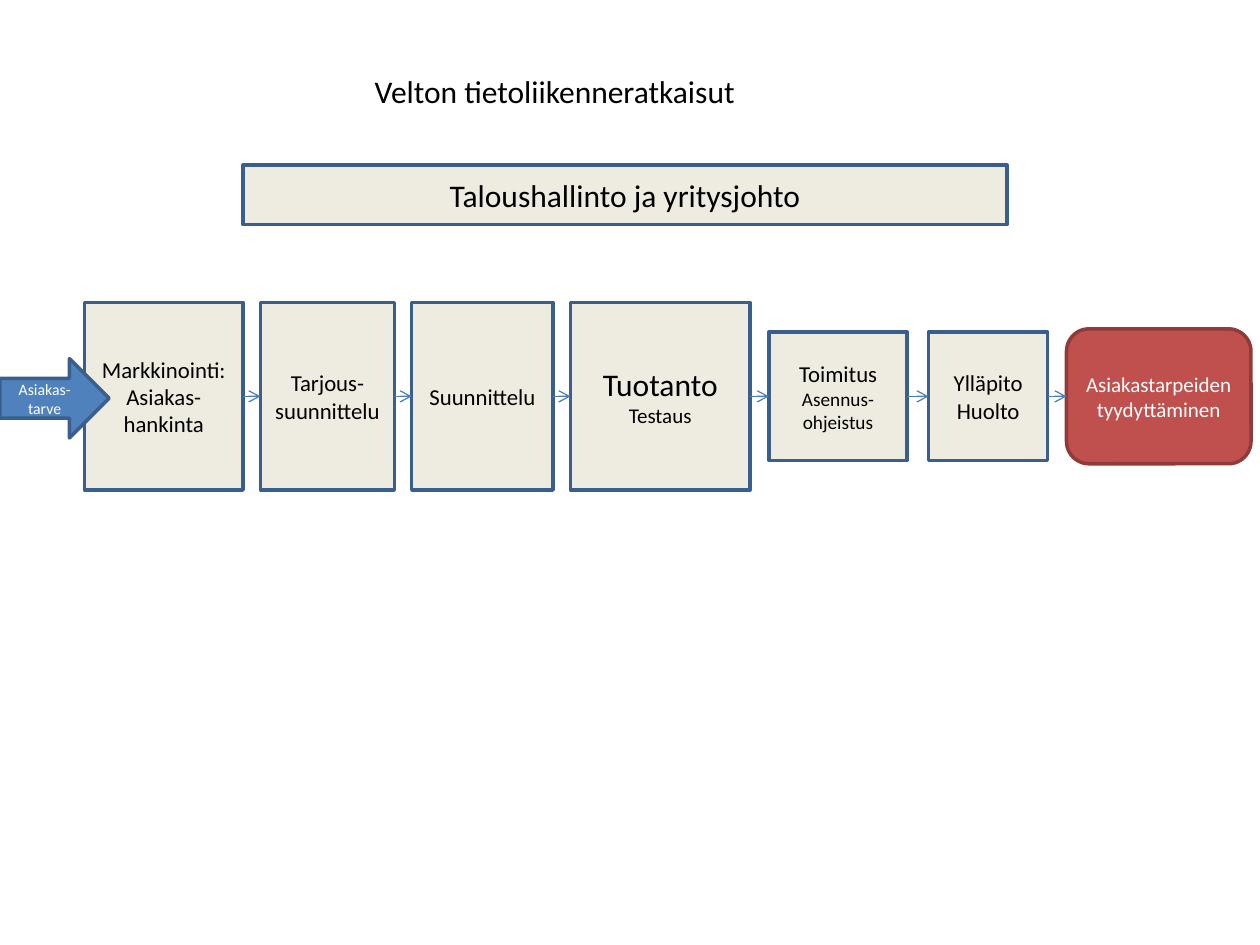
from dataclasses import dataclass
from itertools import pairwise

from lxml.etree import SubElement
from pptx import Presentation
from pptx.dml.color import RGBColor
from pptx.enum.shapes import MSO_CONNECTOR, MSO_SHAPE
from pptx.enum.text import MSO_ANCHOR, MSO_AUTO_SIZE, PP_ALIGN
from pptx.oxml.ns import qn
from pptx.shapes.autoshape import Shape
from pptx.shapes.connector import Connector
from pptx.slide import Slide
from pptx.util import Cm, Pt

FONT = "Calibri"
BLACK, WHITE = "000000", "FFFFFF"
BEIGE, BLUE, RED = "EEECE1", "4F81BD", "C0504D"
DARK_BLUE, DARK_RED, ARROW_BLUE = "3A5F8C", "8E3B39", "4B7EBC"
FLOW_MIDDLE = 7.99
TALL, SHORT = 3.78, 2.59


@dataclass
class Box:
    """A filled shape; lengths in centimetres, lines as (text, point size)."""
    left: float
    width: float
    height: float
    lines: list[tuple[str, float]]
    middle: float = FLOW_MIDDLE
    kind: MSO_SHAPE = MSO_SHAPE.RECTANGLE
    fill: str = BEIGE
    outline: str = DARK_BLUE
    text_color: str = BLACK


MANAGEMENT = Box(4.9, 15.4, 1.2, [("Taloushallinto ja yritysjohto", 18)], middle=3.93)
CUSTOMER_NEED = Box(0, 2.2, 1.6, [("Asiakas-tarve", 9)], middle=8.03,
                    kind=MSO_SHAPE.RIGHT_ARROW, fill=BLUE, text_color=WHITE)
PROCESS = [
    Box(1.7, 3.2, TALL, [("Markkinointi:", 13), ("Asiakas-hankinta", 13)]),
    Box(5.25, 2.7, TALL, [("Tarjous-suunnittelu", 13)]),
    Box(8.3, 2.85, TALL, [("Suunnittelu", 13)]),
    Box(11.5, 3.62, TALL, [("Tuotanto", 18), ("Testaus", 12)]),
    Box(15.5, 2.79, SHORT, [("Toimitus", 13), ("Asennus-ohjeistus", 11)]),
    Box(18.72, 2.4, SHORT, [("Ylläpito", 13), ("Huolto", 13)]),
    Box(21.5, 3.72, 2.72, [("Asiakastarpeiden", 12), ("tyydyttäminen", 12)],
        kind=MSO_SHAPE.ROUNDED_RECTANGLE, fill=RED, outline=DARK_RED, text_color=WHITE),
]


def color(value: str) -> RGBColor:
    return RGBColor.from_string(value)


def format_paragraph(paragraph, size: float, text_color: str, alignment: PP_ALIGN) -> None:
    paragraph.alignment = alignment
    paragraph.font.name = FONT
    paragraph.font.size = Pt(size)
    paragraph.font.color.rgb = color(text_color)


def add_title(slide: Slide, text: str) -> None:
    title = slide.shapes.title
    title.left, title.top, title.width, title.height = Cm(7.3), Cm(1.32), Cm(10.8), Cm(1.03)
    frame = title.text_frame
    frame.text = text
    frame.vertical_anchor = MSO_ANCHOR.TOP
    frame.auto_size = MSO_AUTO_SIZE.SHAPE_TO_FIT_TEXT
    format_paragraph(frame.paragraphs[0], 18, BLACK, PP_ALIGN.LEFT)


def add_box(slide: Slide, box: Box) -> Shape:
    shape = slide.shapes.add_shape(box.kind, Cm(box.left), Cm(box.middle - box.height / 2),
                                   Cm(box.width), Cm(box.height))
    shape.shadow.inherit = False
    shape.fill.solid()
    shape.fill.fore_color.rgb = color(box.fill)
    shape.line.color.rgb = color(box.outline)
    shape.line.width = Pt(2)
    frame = shape.text_frame
    frame.word_wrap = True
    frame.vertical_anchor = MSO_ANCHOR.MIDDLE
    frame.text = "\n".join(text for text, _ in box.lines)
    for paragraph, (_, size) in zip(frame.paragraphs, box.lines):
        format_paragraph(paragraph, size, box.text_color, PP_ALIGN.CENTER)
    return shape


def connect(slide: Slide, source: Shape, target: Shape) -> Connector:
    """Draw an arrow from the right side of source to the left side of target."""
    connector = slide.shapes.add_connector(MSO_CONNECTOR.STRAIGHT, 0, 0, 0, 0)
    connector.begin_connect(source, 3)
    connector.end_connect(target, 1)
    connector.line.color.rgb = color(ARROW_BLUE)
    connector.line.width = Pt(0.75)
    properties = connector._element.spPr
    SubElement(properties.find(qn("a:ln")), qn("a:tailEnd"), type="arrow")
    SubElement(properties, qn("a:effectLst"))
    return connector


def main() -> None:
    presentation = Presentation()
    presentation.slide_width, presentation.slide_height = Cm(25.4), Cm(19.05)
    slide = presentation.slides.add_slide(presentation.slide_layouts[5])

    add_title(slide, "Velton tietoliikenneratkaisut")
    add_box(slide, MANAGEMENT)
    steps = [add_box(slide, box) for box in PROCESS]
    for source, target in pairwise(steps):
        connect(slide, source, target)
    add_box(slide, CUSTOMER_NEED)

    presentation.save("out.pptx")


if __name__ == "__main__":
    main()
